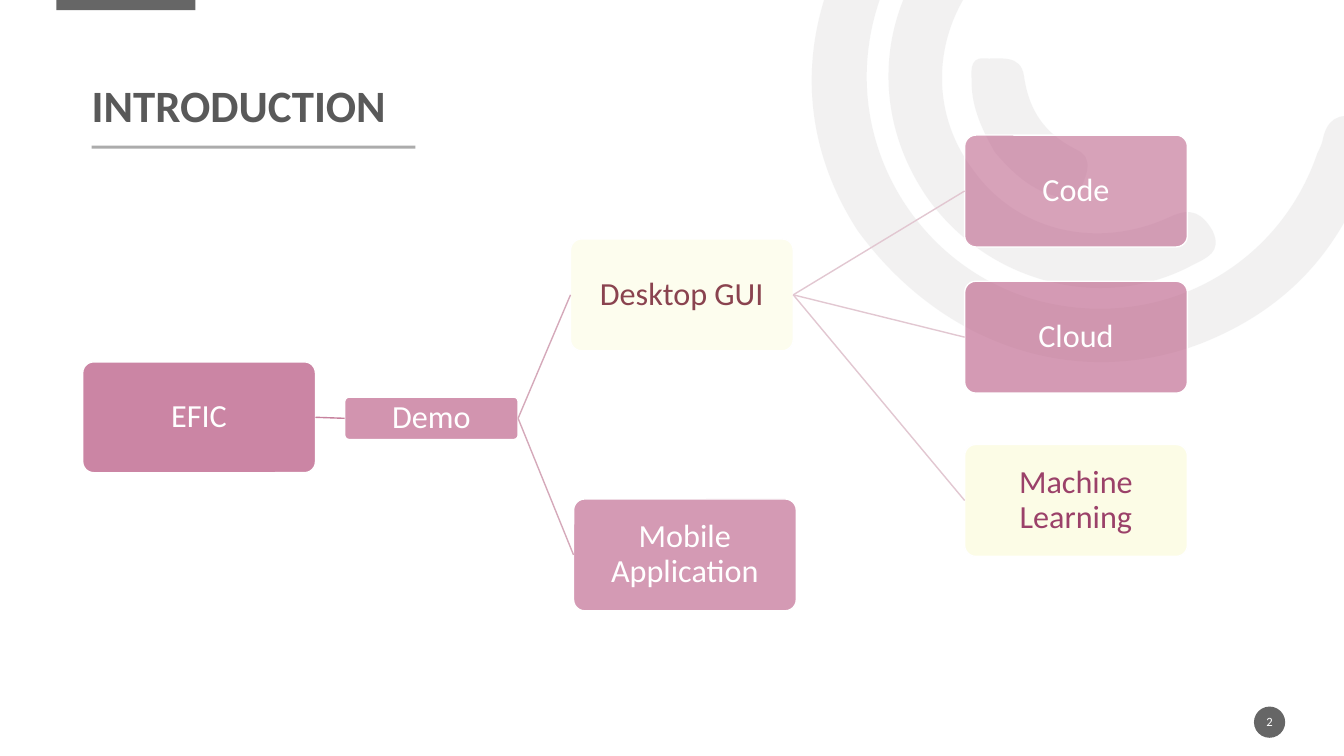
from lxml import etree
from pptx import Presentation
from pptx.dml.color import RGBColor
from pptx.enum import shapes, text
from pptx.oxml import ns
from pptx.util import Inches, Pt

COLOURS = {
    "white": "FFFFFF", "grey": "666666", "arc": "E7E6E6", "title": "595959",
    "rule": "A6A6A6", "pink": "BF678E", "cream": "FBFBD9",
    "brown": "8A434F", "plum": "9B4169",
    "link1": "C7829E", "link2": "D5A9BA", "link3": "E2C7D1",
}
CENTRED = {"alignment": text.PP_ALIGN.CENTER, "line_spacing": 0.9}
LEFT = {"alignment": text.PP_ALIGN.LEFT, "line_spacing": 0.9}

# Name: left, top, width, height, fill, opacity, text colour
NODES = {
    "EFIC": (0.82, 3.59, 2.31, 1.1, "pink", 80, "white"),
    "Demo": (3.42, 3.94, 1.72, 0.42, "pink", 70, "white"),
    "Desktop GUI": (5.66, 2.37, 2.21, 1.11, "cream", 44, "brown"),
    "Mobile Application": (5.69, 4.95, 2.21, 1.11, "pink", 66, "white"),
    "Code": (9.57, 1.34, 2.21, 1.11, "pink", 61, "white"),
    "Cloud": (9.57, 2.79, 2.21, 1.11, "pink", 66, "white"),
    "Machine Learning": (9.57, 4.41, 2.21, 1.11, "cream", 64, "plum"),
}
LINKS = [
    ("EFIC", "Demo", "link1"),
    ("Demo", "Desktop GUI", "link2"),
    ("Demo", "Mobile Application", "link2"),
    ("Desktop GUI", "Code", "link3"),
    ("Desktop GUI", "Cloud", "link3"),
    ("Desktop GUI", "Machine Learning", "link3"),
]

# Each arc is a start point followed by triples of cubic curve points
ARCS = [
    [(8.51, 2.29), (7.99, 1.49), (7.87, 0.5), (8.38, -0.5),
     (8.9, -1.52), (9.76, -2.03), (10.9, -2.07),
     (11.05, -2.07), (11.21, -2.1), (11.31, -1.95),
     (11.44, -1.75), (11.27, -1.54), (10.98, -1.54),
     (9.67, -1.54), (8.65, -0.59), (8.6, 0.68),
     (8.56, 1.81), (9.36, 2.81), (10.46, 3.02),
     (11.6, 3.24), (12.7, 2.61), (13.07, 1.52),
     (13.09, 1.48), (13.11, 1.44), (13.12, 1.4),
     (13.16, 1.19), (13.27, 1.11), (13.49, 1.17),
     (13.73, 1.24), (13.67, 1.41), (13.61, 1.56),
     (13.34, 2.45), (12.78, 3.07), (11.91, 3.41),
     (10.7, 3.87), (9.36, 3.45), (8.51, 2.29)],
    [(9.22, 1.99), (8.62, 1.15), (8.69, 0.07), (9.4, -0.68),
     (9.51, -0.79), (9.62, -0.95), (9.8, -0.78),
     (9.95, -0.64), (9.97, -0.5), (9.79, -0.32),
     (9.25, 0.26), (9.2, 1.08), (9.65, 1.68),
     (10.08, 2.29), (10.88, 2.49), (11.61, 2.15),
     (11.82, 2.05), (11.93, 2.12), (12.03, 2.29),
     (12.13, 2.5), (11.97, 2.56), (11.83, 2.63),
     (10.96, 3.1), (9.83, 2.82), (9.22, 1.99)],
    [(9.87, 1.51), (9.75, 1.3), (9.64, 1.07), (9.64, 0.82),
     (9.64, 0.73), (9.61, 0.57), (9.76, 0.58),
     (9.92, 0.59), (10.13, 0.53), (10.16, 0.76),
     (10.21, 1.1), (10.36, 1.32), (10.67, 1.48),
     (10.88, 1.57), (10.76, 1.76), (10.72, 1.89),
     (10.68, 2.06), (10.55, 1.98), (10.45, 1.94),
     (10.21, 1.87), (10.03, 1.7), (9.87, 1.51)],
]


def apply(target, formats):
    for name, value in formats.items():
        setattr(target, name, value)


def rgb(name):
    return RGBColor.from_string(COLOURS[name])


def paint(fill, colour, opacity=100):
    fill.solid()
    fill.fore_color.rgb = rgb(colour)
    if opacity < 100:
        node = fill._xPr.find(ns.qn("a:solidFill")).find(ns.qn("a:srgbClr"))
        etree.SubElement(node, ns.qn("a:alpha"), val=str(opacity * 1000))


def style_shape(shape, colour, opacity=100, outline=None):
    shape.shadow.inherit = False
    paint(shape.fill, colour, opacity)
    if outline:
        paint(shape.line.fill, outline)
        shape.line.width = Pt(1)
    else:
        shape.line.fill.background()


def write(shape, words, size, colour, inset=0, bold=False, layout=CENTRED,
          anchor=text.MSO_ANCHOR.MIDDLE):
    frame = shape.text_frame
    margins = {f"margin_{side}": Inches(inset)
               for side in ("left", "top", "right", "bottom")}
    apply(frame, {**margins, "word_wrap": True, "vertical_anchor": anchor,
                  "auto_size": text.MSO_AUTO_SIZE.NONE})
    para = frame.paragraphs[0]
    apply(para, layout)
    span = para.add_run()
    span.text = words
    apply(span.font, {"name": "Calibri", "size": Pt(size), "bold": bold})
    span.font.color.rgb = rgb(colour)


def add_preset(page, kind, left, top, width, height):
    return page.shapes.add_shape(
        kind, Inches(left), Inches(top), Inches(width), Inches(height))


def add_arc(page, points):
    start, *rest = [(Inches(x), Inches(y)) for x, y in points]
    builder = page.shapes.build_freeform(*start)
    builder.add_line_segments(rest, close=True)
    arc = builder.convert_to_shape()
    # Every three straight segments become one cubic curve
    segments = list(arc._element.iter(ns.qn("a:lnTo")))
    for first in range(0, len(segments), 3):
        curve = etree.Element(ns.qn("a:cubicBezTo"))
        segments[first].addprevious(curve)
        for segment in segments[first:first + 3]:
            curve.append(segment[0])
            segment.getparent().remove(segment)
    style_shape(arc, "arc", 53)


def add_node(page, name, left, top, width, height, fill, opacity, colour):
    box = add_preset(page, shapes.MSO_SHAPE.ROUNDED_RECTANGLE,
                     left, top, width, height)
    box.adjustments[0] = 0.1
    style_shape(box, fill, opacity, outline="white")
    write(box, name, 23, colour, inset=0.05)
    return box


def add_line(page, colour, width, start=(0, 0), end=(0, 0), opacity=100):
    line = page.shapes.add_connector(
        shapes.MSO_CONNECTOR.STRAIGHT, *map(Inches, start + end))
    paint(line.line.fill, colour, opacity)
    line.line.width = Pt(width)
    etree.SubElement(line._element.spPr, ns.qn("a:effectLst"))
    return line


def add_link(page, source, target, colour):
    link = add_line(page, colour, 1)
    link.begin_connect(source, 3)
    link.end_connect(target, 1)


def add_title(page, words):
    title = page.shapes.title
    apply(title, {"left": Inches(0.91), "top": Inches(0.3),
                  "width": Inches(5.21), "height": Inches(1.01)})
    write(title, words, 32, "title", bold=True, layout=LEFT,
          anchor=text.MSO_ANCHOR.BOTTOM)
    add_line(page, "rule", 2, (0.91, 1.46), (4.12, 1.46), 92)


def main():
    deck = Presentation()
    apply(deck, {"slide_width": Inches(40 / 3), "slide_height": Inches(7.5)})
    page = deck.slides.add_slide(deck.slide_layouts[5])

    # Background decoration and page number
    bar = add_preset(page, shapes.MSO_SHAPE.RECTANGLE, 0.56, -0.02, 1.38, 0.12)
    style_shape(bar, "grey")
    for points in ARCS:
        add_arc(page, points)
    badge = add_preset(page, shapes.MSO_SHAPE.OVAL, 12.44, 7.01, 0.31, 0.31)
    style_shape(badge, "grey")
    write(badge, "2", 9, "white")

    # Title
    add_title(page, "INTRODUCTION")

    # Tree of topics
    boxes = {name: add_node(page, name, *values)
             for name, values in NODES.items()}
    for source, target, colour in LINKS:
        add_link(page, boxes[source], boxes[target], colour)

    deck.save("out.pptx")


if __name__ == "__main__":
    main()
